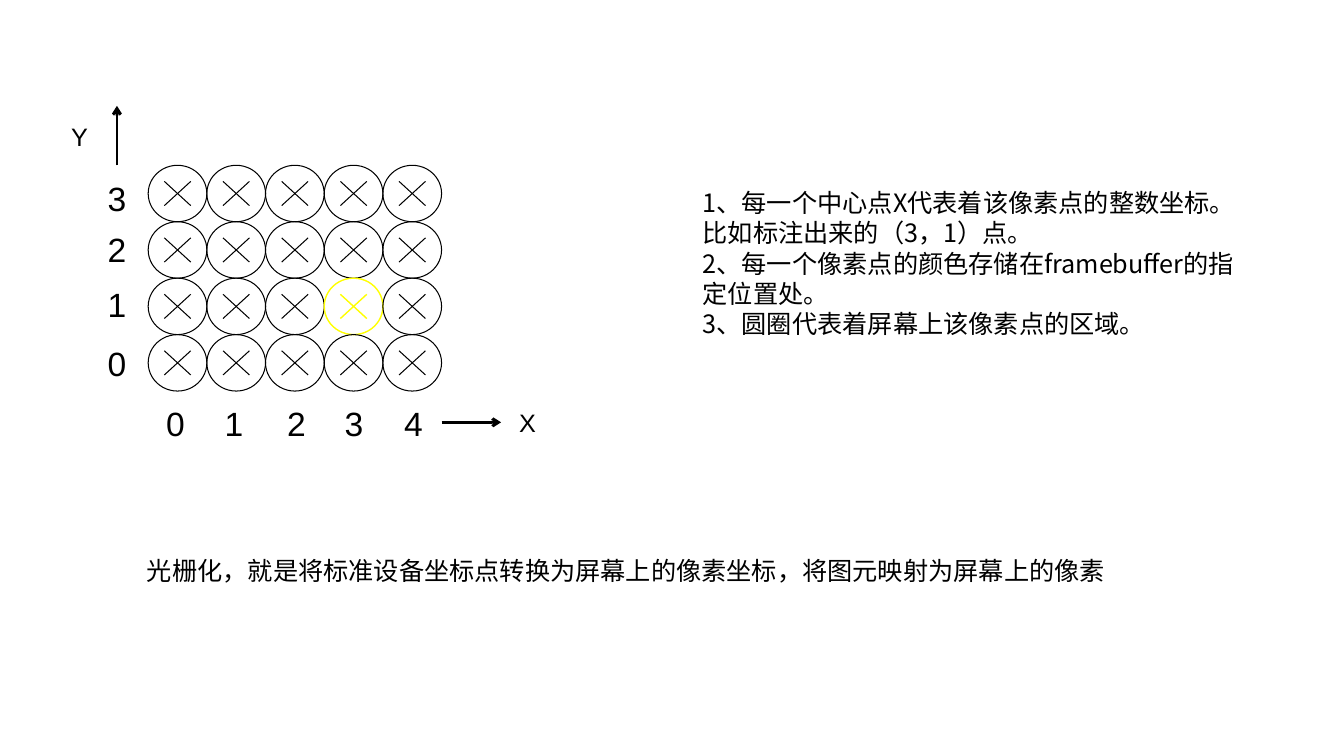
from dataclasses import dataclass

from lxml.etree import SubElement as Sub
from pptx import Presentation
from pptx.dml.color import RGBColor as Rgb
from pptx.enum.shapes import MSO_CONNECTOR as Conn, MSO_SHAPE as Shape
from pptx.enum.text import MSO_ANCHOR as Anchor, MSO_AUTO_SIZE as Fit, PP_ALIGN as Align
from pptx.oxml.ns import qn
from pptx.util import Inches, Pt

COLORS = {"ink": "000000", "mark": "FFFF00"}
LATIN, HAN = "Arial", "Noto Sans CJK SC"

# Pixel grid: origin, size and cell size
COLS, ROWS = 5, 4
LEFT, TOP = 1.47, 1.64
WIDE, HIGH = 2.91 / COLS, 0.56
PAD = 0.16
MARKED = (3, 1)


@dataclass
class Line:
    start: tuple[float, float]
    end: tuple[float, float]
    color: str = "ink"
    width: float = 0.75
    arrow: bool = False


@dataclass
class Label:
    lines: list[str]
    box: tuple[float, float, float, float]
    size: int = 18
    font: str = LATIN
    wrap: bool = True
    align: Align = Align.LEFT


@dataclass
class Pixel:
    col: int
    row: int

    @property
    def color(self) -> str:
        return "mark" if (self.col, self.row) == MARKED else "ink"


def paint(line, color: str, width: float) -> None:
    line.color.rgb = Rgb.from_string(COLORS[color])
    line.width = Pt(width)


def draw_line(shapes, item: Line) -> None:
    ends = [Inches(v) for v in (*item.start, *item.end)]
    link = shapes.add_connector(Conn.STRAIGHT, *ends)
    paint(link.line, item.color, item.width)
    props = link._element.spPr
    if item.arrow:
        Sub(props.find(qn("a:ln")), qn("a:tailEnd"), type="arrow")
    Sub(props, qn("a:effectLst"))


def draw_label(shapes, item: Label) -> None:
    frame = shapes.add_textbox(*map(Inches, item.box)).text_frame
    frame.word_wrap = item.wrap
    frame.auto_size = Fit.SHAPE_TO_FIT_TEXT
    frame.vertical_anchor = Anchor.TOP
    frame.text = "\n".join(item.lines)
    for para in frame.paragraphs:
        para.alignment = item.align
        for run in para.runs:
            run.font.size = Pt(item.size)
            run.font.name = item.font
            run.font.color.rgb = Rgb.from_string(COLORS["ink"])
            Sub(run._r.get_or_add_rPr(), qn("a:ea"), typeface=HAN)


def draw_pixel(shapes, item: Pixel) -> None:
    x = LEFT + item.col * WIDE
    y = TOP + (ROWS - 1 - item.row) * HIGH
    width = 1 if item.color == "mark" else 0.75
    ring = shapes.add_shape(Shape.OVAL, *map(Inches, (x, y, WIDE, HIGH)))
    ring.shadow.inherit = False
    ring.fill.background()
    paint(ring.line, item.color, width)
    # Cross at the centre
    west, east = x + PAD, x + WIDE - PAD
    north, south = y + PAD, y + HIGH - PAD
    draw_line(shapes, Line((west, south), (east, north), item.color, width))
    draw_line(shapes, Line((west, north), (east, south), item.color, width))


def main() -> None:
    deck = Presentation()
    deck.slide_width, deck.slide_height = Inches(13.33), Inches(7.5)
    slide = deck.slides.add_slide(deck.slide_layouts[6])

    # Summary
    draw_label(slide.shapes, Label(
        ["光栅化，就是将标准设备坐标点转换为屏幕上的像素坐标，将图元映射为屏幕上的像素"],
        (1.36, 5.46, 10.34, 0.4), font=HAN))

    # Pixels, top row first
    chart = slide.shapes.add_group_shape().shapes
    for row in reversed(range(ROWS)):
        for col in range(COLS):
            draw_pixel(chart, Pixel(col, row))

    # Axis numbers
    spots = [(x, 3.95) for x in (1.55, 2.13, 2.75, 3.32, 3.91)]
    sides = [(0.97, y) for y in (3.35, 2.77, 2.22, 1.72)]
    for axis in (spots, sides):
        for num, spot in enumerate(axis):
            draw_label(chart, Label([str(num)], (*spot, 0.39, 0.48), 24, wrap=False))

    # Axis arrows and names
    draw_line(chart, Line((4.38, 4.19), (4.97, 4.19), width=2, arrow=True))
    draw_label(chart, Label(["X"], (5.05, 3.99, 0.58, 0.39)))
    draw_line(chart, Line((1.16, 1.64), (1.16, 1.05), width=2, arrow=True))
    draw_label(chart, Label(["Y"], (0.47, 1.15, 0.5, 0.39), align=Align.RIGHT))

    # Notes on the grid
    draw_label(slide.shapes, Label([
        "1、每一个中心点X代表着该像素点的整数坐标。比如标注出来的（3，1）点。",
        "2、每一个像素点的颜色存储在framebuffer的指定位置处。",
        "3、圆圈代表着屏幕上该像素点的区域。",
    ], (6.87, 1.81, 5.71, 1.92), font=HAN))

    deck.save("out.pptx")


if __name__ == "__main__":
    main()
